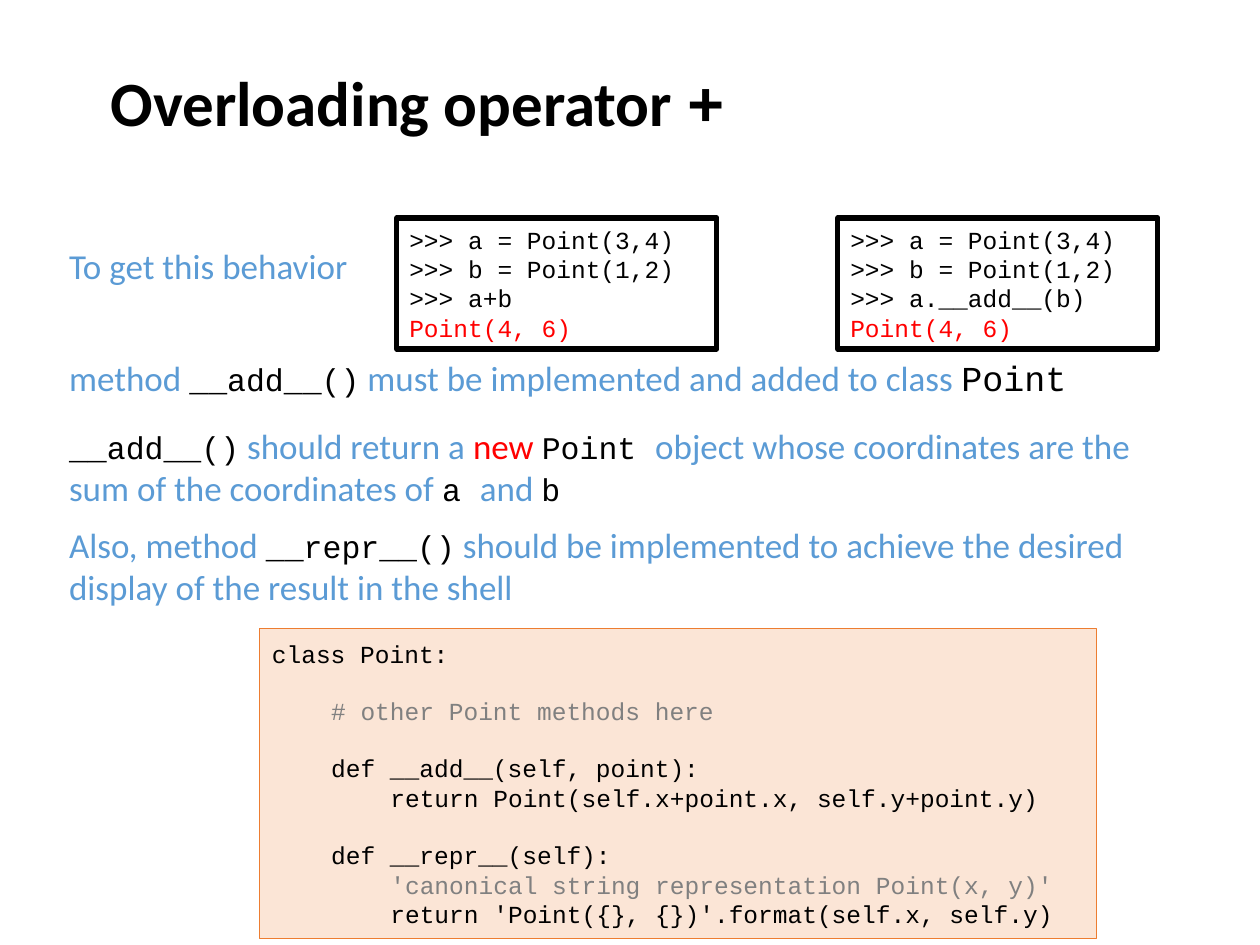
import dataclasses

import pptx
import pptx.dml.color
import pptx.enum.shapes
import pptx.enum.text
import pptx.slide
import pptx.util

Inches = pptx.util.Inches
COLORS = {
    "black": "000000", "white": "FFFFFF", "blue": "5B9BD5", "red": "FF0000",
    "gray": "808080", "peach": "FBE5D6", "orange": "ED7D31",
}
STYLES = {
    "title": ("Calibri", 36, "black", True),
    "title code": ("Courier New", 36, "black", True),
    "body": ("Calibri", 20, "blue", False),
    "new": ("Calibri", 20, "red", False),
    "code": ("Courier New", 18, "black", False),
    "large code": ("Courier New", 20, "black", False),
    "listing": ("Courier New", 14, "black", False),
    "comment": ("Courier New", 14, "gray", False),
    "output": ("Courier New", 14, "red", False),
}
CODE_LINE = 15.86
CODE_INDENT = 0.47


@dataclasses.dataclass
class SlideBuilder:
    """Draw styled text and code boxes on one slide."""

    slide: pptx.slide.Slide

    def color(self, name):
        return pptx.dml.color.RGBColor.from_string(COLORS[name])

    def set_font(self, font, style):
        name, size, color, bold = STYLES[style]
        font.name, font.size, font.bold = name, pptx.util.Pt(size), bold
        font.color.rgb = self.color(color)

    def add_text(self, left, top, width, height, runs, wrap=True):
        box = self.slide.shapes.add_textbox(
            Inches(left), Inches(top), Inches(width), Inches(height))
        frame = box.text_frame
        frame.word_wrap = wrap
        frame.vertical_anchor = pptx.enum.text.MSO_ANCHOR.MIDDLE
        paragraph = frame.paragraphs[0]
        if len(runs) == 1:
            self.set_font(paragraph.font, runs[0][1])
        for text, style in runs:
            run = paragraph.add_run()
            run.text = text
            if len(runs) > 1:
                self.set_font(run.font, style)

    def add_code(self, left, top, width, height, lines, fill, line, line_width):
        shape = self.slide.shapes.add_shape(
            pptx.enum.shapes.MSO_SHAPE.RECTANGLE,
            Inches(left), Inches(top), Inches(width), Inches(height))
        shape.shadow.inherit = False
        shape.fill.solid()
        shape.fill.fore_color.rgb = self.color(fill)
        shape.line.color.rgb = self.color(line)
        shape.line.width = pptx.util.Pt(line_width)
        frame = shape.text_frame
        frame.word_wrap = True
        frame.vertical_anchor = pptx.enum.text.MSO_ANCHOR.MIDDLE
        for index, (text, style, level, gap) in enumerate(lines):
            paragraph = frame.add_paragraph() if index else frame.paragraphs[0]
            paragraph.text = text
            paragraph.alignment = pptx.enum.text.PP_ALIGN.LEFT
            paragraph.space_before = pptx.util.Pt(gap * CODE_LINE)
            properties = paragraph._p.get_or_add_pPr()
            properties.set("marL", str(Inches(level * CODE_INDENT)))
            properties.set("indent", "0")
            self.set_font(paragraph.font, style)

    def add_session(self, left, expression):
        lines = [(f">>> {code}", "listing", 0, 0)
                 for code in ("a = Point(3,4)", "b = Point(1,2)", expression)]
        lines.append(("Point(4, 6)", "output", 0, 0))
        self.add_code(left, 1.73, 2.54, 1.04, lines, "white", "black", 3)


def main():
    presentation = pptx.Presentation()
    presentation.slide_width, presentation.slide_height = Inches(10), Inches(7.5)
    builder = SlideBuilder(
        presentation.slides.add_slide(presentation.slide_layouts[6]))

    builder.add_text(0.78, 0, 8.72, 1.61, [
        ("Overloading operator ", "title"), ("+", "title code")])
    builder.add_text(0.45, 1.89, 2.46, 0.44, [
        ("To get this behavior", "body")], wrap=False)
    builder.add_text(0.45, 2.78, 8.35, 0.44, [
        ("method ", "body"), ("__add__()", "code"),
        (" must be implemented and added to class ", "body"),
        ("Point", "large code")], wrap=False)
    builder.add_code(2.06, 4.99, 6.64, 2.46, [
        ("class Point:", "listing", 0, 0),
        ("# other Point methods here", "comment", 1, 1),
        ("def __add__(self, point):", "listing", 1, 1),
        ("return Point(self.x+point.x, self.y+point.y)", "listing", 2, 0),
        ("def __repr__(self):", "listing", 1, 1),
        ("'canonical string representation Point(x, y)'", "comment", 2, 0),
        ("return 'Point({}, {})'.format(self.x, self.y)", "listing", 2, 0),
    ], "peach", "orange", 0.5)
    builder.add_text(0.45, 3.32, 8.74, 0.77, [
        ("__add__()", "code"), (" should return a ", "body"),
        ("new ", "new"), ("Point ", "code"),
        ("object whose coordinates are the sum of the coordinates of ", "body"),
        ("a ", "code"), ("and ", "body"), ("b", "code")])
    builder.add_text(0.45, 4.1, 8.74, 0.77, [
        ("Also, method ", "body"), ("__repr__()", "code"),
        (" should be implemented to achieve the desired display"
         " of the result in the shell", "body")])
    builder.add_session(3.15, "a+b")
    builder.add_session(6.65, "a.__add__(b)")

    presentation.save("out.pptx")


if __name__ == "__main__":
    main()
